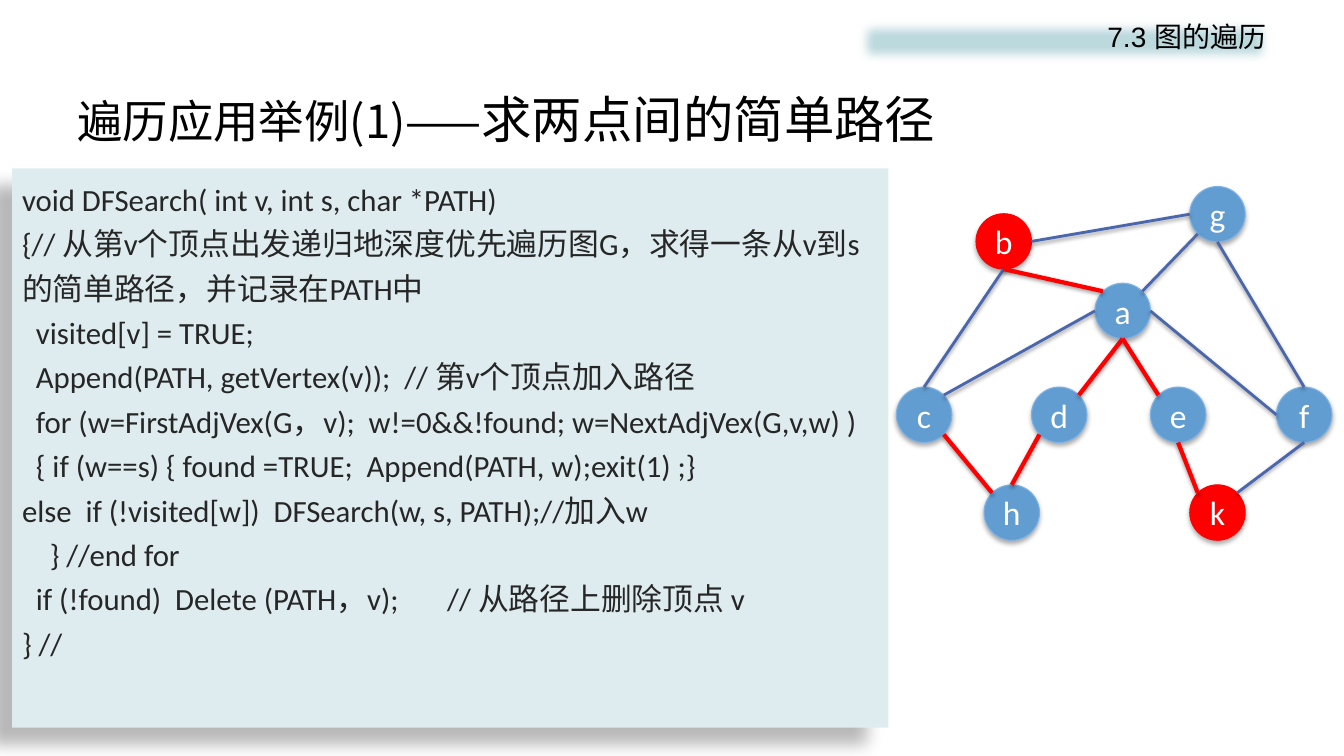
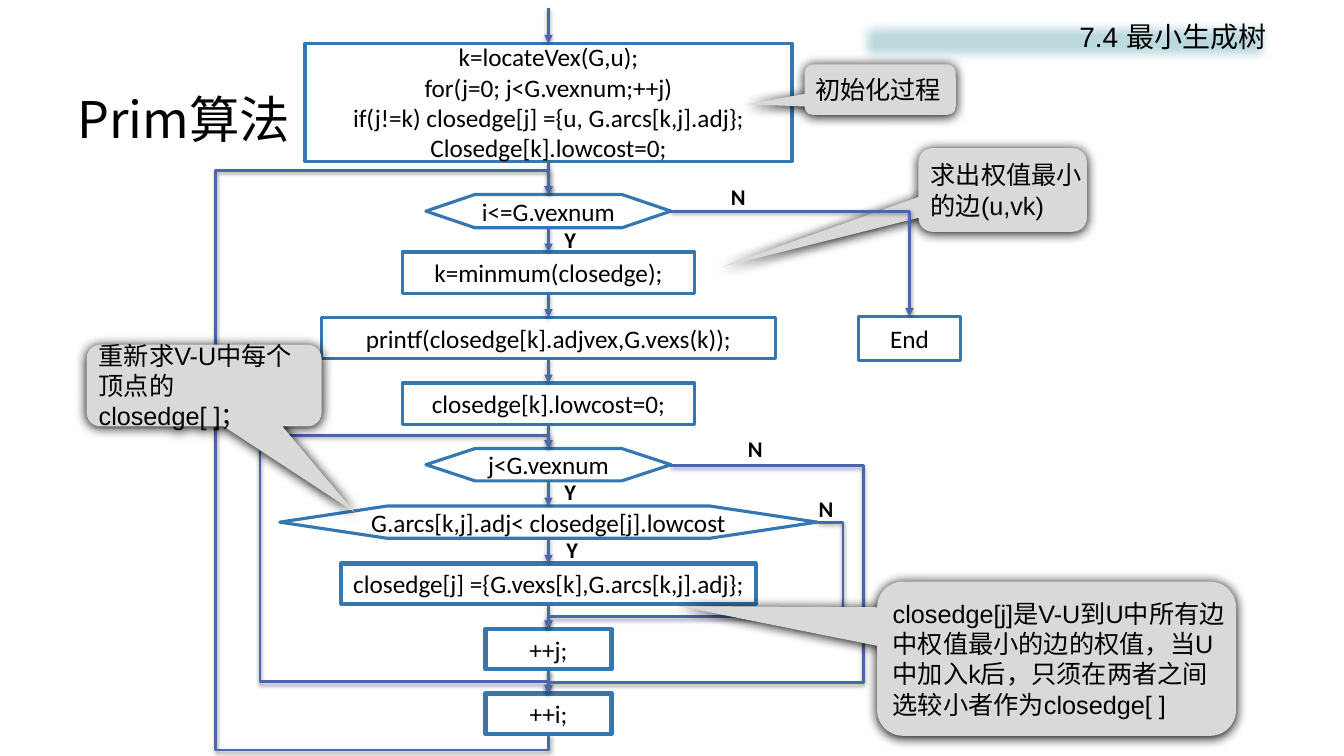
from dataclasses import dataclass
from typing import NamedTuple

from lxml.etree import SubElement
from pptx import Presentation
from pptx.dml.color import RGBColor
from pptx.enum.shapes import MSO_CONNECTOR, MSO_SHAPE
from pptx.enum.text import MSO_ANCHOR, PP_ALIGN
from pptx.oxml.ns import qn
from pptx.util import Inches, Pt

# Shared look
BLACK, WHITE, RED = "000000", "FFFFFF", "FF0000"
CODE_INK, PANEL, BAND = "262626", "DEECEF", "BDDADF"
NODE, NODE_RIM, EDGE = "629DD1", "7EB2E6", "4A66AC"
STEP_LINE, CALLOUT = "3477B2", "D9D9D9"
BODY, SANS, CJK = "Calibri", "Arial", "Noto Sans CJK SC"


class Shadow(NamedTuple):
    alpha: int
    blur: float
    dist: float
    angle: int


PANEL_SHADOW = Shadow(28, 11.8, 19.7, 141)
NODE_SHADOW = Shadow(32, 3.5, 2.2, 90)
LINE_SHADOW = Shadow(38, 3.1, 1.6, 90)
CALLOUT_SHADOW = Shadow(100, 8.5, 1, 90)


class Box(NamedTuple):
    """Place on the slide, in columns and rows of a 0.1 inch grid."""
    x: float
    y: float
    w: float
    h: float


class Part(NamedTuple):
    text: str
    size: float
    font: str


@dataclass
class Step:
    text: str
    top: float
    width: float
    height: float = 4.1
    kind: MSO_SHAPE = MSO_SHAPE.FLOWCHART_PROCESS
    line: float = 2.25
    center: float = 54.4


@dataclass
class Callout:
    text: str
    box: Box
    tip: tuple[float, float]


def grid(n: float) -> int:
    return Inches(n / 10)


def rgb(value: str) -> RGBColor:
    return RGBColor.from_string(value)


def style_run(r, size: float, color: str, font: str, bold: bool = False) -> None:
    r.font.size, r.font.bold = Pt(size), bold
    r.font.color.rgb = rgb(color)
    r.font.name = font
    SubElement(r._r.get_or_add_rPr(), qn("a:ea")).set("typeface", CJK)


def write(sp, text: str, size: float, color: str, font: str, align=PP_ALIGN.LEFT,
          anchor=MSO_ANCHOR.MIDDLE, wrap: bool = True, bold: bool = False) -> None:
    tf = sp.text_frame
    tf.text, tf.word_wrap, tf.vertical_anchor = text, wrap, anchor
    for p in tf.paragraphs:
        p.alignment = align
        for r in p.runs:
            style_run(r, size, color, font, bold)


def effects(sp):
    """Give the shape its own, empty effect list."""
    spPr = sp._element.spPr
    for old in spPr.findall(qn("a:effectLst")):
        spPr.remove(old)
    return SubElement(spPr, qn("a:effectLst"))


def cast(sp, shadow: Shadow) -> None:
    shd = SubElement(effects(sp), qn("a:outerShdw"), blurRad=str(Pt(shadow.blur)),
                     dist=str(Pt(shadow.dist)), dir=str(shadow.angle * 60000),
                     rotWithShape="0")
    clr = SubElement(shd, qn("a:srgbClr"), val=BLACK)
    SubElement(clr, qn("a:alpha"), val=str(shadow.alpha * 1000))


def add_box(slide, kind, box: Box, fill: str = "", line: str = "", width: float = 0.75):
    sp = slide.shapes.add_shape(kind, *map(grid, box))
    sp.shadow.inherit = False
    if fill:
        sp.fill.solid()
        sp.fill.fore_color.rgb = rgb(fill)
    else:
        sp.fill.background()
    if line:
        sp.line.color.rgb, sp.line.width = rgb(line), Pt(width)
    else:
        sp.line.fill.background()
    return sp


def style_line(sp, color: str = EDGE, width: float = 2, arrow: bool = False) -> None:
    sp.line.color.rgb, sp.line.width = rgb(color), Pt(width)
    if arrow:
        SubElement(sp.line._get_or_add_ln(), qn("a:tailEnd"), type="triangle")
    cast(sp, LINE_SHADOW)


def add_line(slide, start, end, kind=MSO_CONNECTOR.STRAIGHT):
    return slide.shapes.add_connector(kind, *map(grid, (*start, *end)))


def add_route(slide, points: list[tuple[float, float]]) -> None:
    """Draw an arrow that turns at each of the points."""
    start, *rest = [(grid(x), grid(y)) for x, y in points]
    path = slide.shapes.build_freeform(*start)
    path.add_line_segments(rest, close=False)
    sp = path.convert_to_shape()
    sp.fill.background()
    style_line(sp, arrow=True)


def add_callout(slide, callout: Callout) -> None:
    sp = add_box(slide, MSO_SHAPE.ROUNDED_RECTANGULAR_CALLOUT, callout.box, CALLOUT)
    sp.adjustments[0], sp.adjustments[1] = callout.tip
    sp.adjustments[2] = 0.167
    cast(sp, CALLOUT_SHADOW)
    write(sp, callout.text, 18, BLACK, SANS)
    sp.text_frame.margin_left, sp.text_frame.margin_right = Inches(0.08), 0


def add_step(slide, step: Step):
    left = step.center - step.width / 2
    sp = add_box(slide, step.kind, Box(left, step.top, step.width, step.height),
                 line=STEP_LINE, width=step.line)
    write(sp, step.text, 18, BLACK, BODY, PP_ALIGN.CENTER, wrap=False)
    return sp


def new_slide(prs, section: str, title: list[Part]):
    slide = prs.slides.add_slide(prs.slide_layouts[6])
    # Title
    tb = slide.shapes.add_textbox(*map(grid, Box(6.7, 8, 120, 7.5)))
    tf = tb.text_frame
    tf.word_wrap, tf.vertical_anchor = True, MSO_ANCHOR.MIDDLE
    for part in title:
        r = tf.paragraphs[0].add_run()
        r.text = part.text
        style_run(r, part.size, BLACK, part.font)
    # Soft section band
    band = add_box(slide, MSO_SHAPE.RECTANGLE, Box(84.6, 1.4, 42, 5.4), BAND)
    SubElement(effects(band), qn("a:softEdge"), rad=str(Inches(0.12)))
    write(band, section, 20, BLACK, SANS, PP_ALIGN.RIGHT, MSO_ANCHOR.TOP)
    return slide


# Slide 1: path search
CODE = """void DFSearch( int v, int s, char *PATH)
{// 从第v个顶点出发递归地深度优先遍历图G，求得一条从v到s的简单路径，并记录在PATH中
  visited[v] = TRUE;
  Append(PATH, getVertex(v));  // 第v个顶点加入路径
  for (w=FirstAdjVex(G，v);  w!=0&&!found; w=NextAdjVex(G,v,w) )
  { if (w==s) { found =TRUE;  Append(PATH, w);exit(1) ;}
else  if (!visited[w])  DFSearch(w, s, PATH);//加入w
    } //end for
  if (!found)  Delete (PATH，v);       // 从路径上删除顶点 v
} //"""
NODE_SIZE = 5.5
NODES = {"a": (108.6, 28.1), "b": (96.8, 21.2), "c": (88.9, 38.4), "h": (97.6, 48.1),
         "d": (102.3, 38.4), "e": (114.1, 38.4), "k": (118, 48.1), "f": (126.6, 38.4),
         "g": (118, 18.5)}
ENDS = "bk"
# Each end is a node and the compass point where the edge meets it
EDGES = ["b:E g:W", "b:S c:N", "c:NE a:W", "g:S f:N", "a:E f:W", "g:SW a:NE", "k:NE f:S"]
PATH_EDGES = ["b:S a:NW", "a:S d:NE", "d:SW h:N", "c:SE h:NW", "a:S e:NW", "e:S k:NW"]


def rim_point(end: str) -> tuple[float, float]:
    name, compass = end.split(":")
    reach = NODE_SIZE / 2 * (0.71 if len(compass) == 2 else 1)
    dx = ("E" in compass) - ("W" in compass)
    dy = ("S" in compass) - ("N" in compass)
    x, y = NODES[name]
    return x + NODE_SIZE / 2 + dx * reach, y + NODE_SIZE / 2 + dy * reach


def path_slide(prs) -> None:
    slide = new_slide(prs, "7.3 图的遍历", [Part("遍历应用举例(1)——", 32.4, CJK),
                                       Part("求两点间的简单路径", 36, SANS)])
    # Code panel
    panel = add_box(slide, MSO_SHAPE.RECTANGLE, Box(1.2, 16.7, 86.9, 55.5), PANEL)
    cast(panel, PANEL_SHADOW)
    write(panel, CODE, 22, CODE_INK, BODY, anchor=MSO_ANCHOR.TOP)
    for p in panel.text_frame.paragraphs:
        p.line_spacing = Pt(31.7)
    # Graph
    for name, (x, y) in NODES.items():
        fill, rim = (RED, RED) if name in ENDS else (NODE, NODE_RIM)
        sp = add_box(slide, MSO_SHAPE.OVAL, Box(x, y, NODE_SIZE, NODE_SIZE), fill, rim)
        cast(sp, NODE_SHADOW)
        write(sp, name, 24, WHITE, BODY, PP_ALIGN.CENTER, wrap=False)
    for edges, color, width in ((EDGES, EDGE, 2), (PATH_EDGES, RED, 3)):
        for edge in edges:
            start, end = map(rim_point, edge.split())
            style_line(add_line(slide, start, end), color, width)


# Slide 2: flow chart
TEST, RECT = MSO_SHAPE.FLOWCHART_PREPARATION, MSO_SHAPE.RECTANGLE
STEPS = [
    Step("k=locateVex(G,u);\nfor(j=0; j<G.vexnum;++j)\n"
         "if(j!=k) closedge[j] ={u, G.arcs[k,j].adj};\nClosedge[k].lowcost=0;",
         4.3, 48.3, 11.7),
    Step("i<=G.vexnum", 19.3, 24.3, 3.3, TEST),
    Step("k=minmum(closedge);", 25, 29),
    Step("printf(closedge[k].adjvex,G.vexs(k));", 31.5, 45),
    Step("closedge[k].lowcost=0;", 38, 29),
    Step("j<G.vexnum", 44.5, 24.3, 3.2, TEST),
    Step("G.arcs[k,j].adj< closedge[j].lowcost", 50.2, 53.3, 3.2, TEST),
    Step("closedge[j] ={G.vexs[k],G.arcs[k,j].adj};", 55.9, 41.1, 4, RECT, 3),
    Step("++j;", 62.4, 12.5, 4, RECT, 3),
    Step("++i;", 68.8, 12.5, 4, RECT, 3),
]
END = Step("End", 31.4, 10.1, 4.4, center=90.2)
BRANCHES = [("N", 71.5, 17.7), ("N", 73.2, 42.7), ("N", 80.2, 48.6),
            ("Y", 55, 21.9), ("Y", 55, 46.9), ("Y", 55.2, 52.7)]
MID = 54.4
ROUTES = [
    [(MID, 72.8), (MID, 74.4), (21.4, 74.4), (21.4, 16.9), (MID, 16.9), (MID, 19.3)],
    [(MID, 66.4), (MID, 67.6), (25.8, 67.6), (25.8, 43.2), (MID, 43.2), (MID, 44.5)],
    [(66.5, 46.2), (85.6, 46.2), (85.6, 67.7), (MID, 67.7), (MID, 68.8)],
    [(81.1, 51.8), (83.6, 51.8), (83.6, 61.2), (MID, 61.2), (MID, 62.4)],
]
BACK_CALLOUT = Callout("求出权值最小的边(u,vk)", Box(91.1, 14.7, 16.7, 8.3), (-1.67, 0.92))
FRONT_CALLOUTS = [
    Callout("初始化过程", Box(79.8, 6.4, 15, 5), (-0.88, 0.29)),
    Callout("closedge[j]是V-U到U中所有边中权值最小的边的权值，当U中加入k后，"
            "只须在两者之间选较小者作为closedge[ ]", Box(87, 57.7, 35.6, 15.3), (-1.05, -0.34)),
    Callout("重新求V-U中每个\n顶点的closedge[ ]；", Box(8.6, 34.2, 23.3, 8.1), (0.64, 1.55)),
]


def prim_slide(prs) -> None:
    slide = new_slide(prs, "7.4 最小生成树", [Part("Prim算法", 36, CJK)])
    add_callout(slide, BACK_CALLOUT)
    # Steps and branch labels
    boxes = [add_step(slide, step) for step in STEPS]
    end = add_step(slide, END)
    for text, x, y in BRANCHES:
        tb = slide.shapes.add_textbox(*map(grid, Box(x, y, 3.4, 3.7)))
        write(tb, text, 16, BLACK, BODY, anchor=MSO_ANCHOR.TOP, wrap=False, bold=True)
    # Arrows down the main column
    entry = add_line(slide, (MID, 0.8), (MID, 4.3))
    entry.end_connect(boxes[0], 0)
    style_line(entry, arrow=True)
    for upper, lower in zip(boxes, boxes[1:]):
        cxn = add_line(slide, (MID, 0), (MID, 1))
        cxn.begin_connect(upper, 2)
        cxn.end_connect(lower, 0)
        style_line(cxn, arrow=True)
    # Exit and loops
    leave = add_line(slide, (66.5, 21), (90.2, 31.4), MSO_CONNECTOR.ELBOW)
    leave._element.spPr.find(qn("a:prstGeom")).set("prst", "bentConnector2")
    leave.begin_connect(boxes[1], 3)
    leave.end_connect(end, 0)
    style_line(leave, arrow=True)
    for points in ROUTES:
        add_route(slide, points)
    for callout in FRONT_CALLOUTS:
        add_callout(slide, callout)


def main() -> None:
    prs = Presentation()
    prs.slide_width, prs.slide_height = Inches(13.33), Inches(7.5)
    path_slide(prs)
    prim_slide(prs)
    prs.save("out.pptx")


if __name__ == "__main__":
    main()
